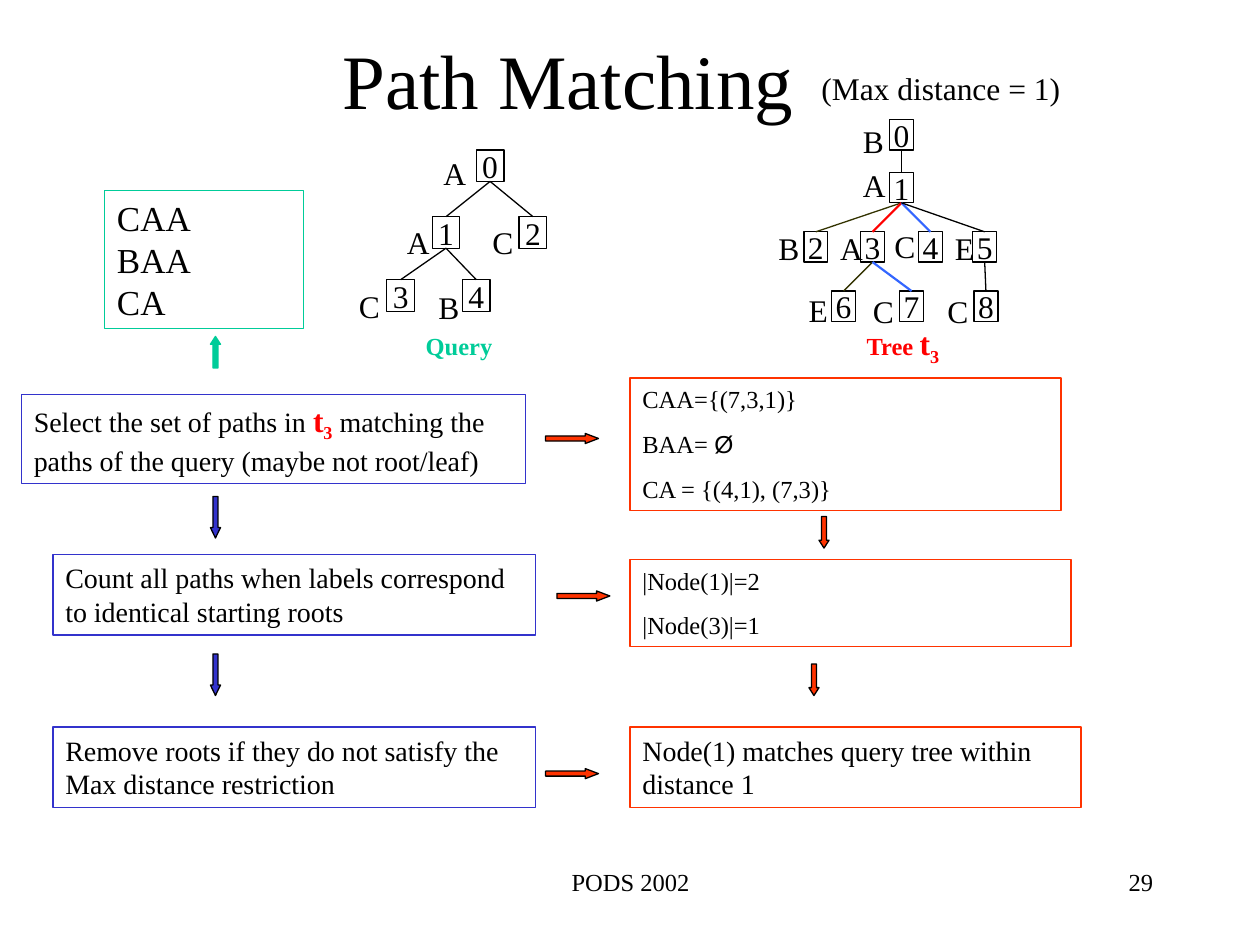
from lxml.etree import SubElement
from pptx import Presentation
from pptx.dml.color import RGBColor
from pptx.enum.shapes import MSO_CONNECTOR, MSO_SHAPE
from pptx.enum.text import MSO_ANCHOR, PP_ALIGN
from pptx.oxml.ns import qn
from pptx.util import Inches, Pt

FONT = "Times New Roman"
BLACK, WHITE, RED, BLUE = "000000", "FFFFFF", "FF0000", "3366FF"
GREEN, INDIGO, ORANGE, OLIVE = "00CC99", "3333CC", "FF3300", "333300"
ARROW = 0.08  # thickness of every block arrow

# Style of the tree name "t" with its subscript
TREE_NAME = [("t", {"size": 18, "color": RED, "bold": True}),
             ("3", {"size": 18, "color": RED, "bold": True, "sub": True})]

# Nodes: number -> (left, top, label, label left, label top)
QUERY_NODES = {
    0: (3.78, 1.19, "A", 3.42, 1.17),
    1: (3.43, 1.72, "A", 3.13, 1.72), 2: (4.12, 1.72, "C", 3.81, 1.72),
    3: (3.07, 2.22, "C", 2.75, 2.23), 4: (3.67, 2.22, "B", 3.38, 2.24),
}
TREE_NODES = {
    0: (7.06, 0.95, "B", 6.75, 0.92),
    1: (7.06, 1.37, "A", 6.75, 1.27),
    2: (6.38, 1.84, "B", 6.08, 1.77), 3: (6.83, 1.84, "A", 6.57, 1.77),
    4: (7.29, 1.84, "C", 7.0, 1.75), 5: (7.72, 1.84, "E", 7.48, 1.77),
    6: (6.6, 2.31, "E", 6.32, 2.26), 7: (7.14, 2.31, "C", 6.83, 2.27),
    8: (7.73, 2.31, "C", 7.42, 2.27),
}
# Edges: parent, child, colour
QUERY_EDGES = [(0, 1, BLACK), (0, 2, BLACK), (1, 3, BLACK), (1, 4, BLACK)]
TREE_EDGES = [(0, 1, BLACK), (1, 2, OLIVE), (1, 3, RED), (1, 4, BLUE),
              (1, 5, BLACK), (3, 6, OLIVE), (3, 7, BLUE), (5, 8, BLACK)]


def rgb(color):
    return RGBColor.from_string(color)


def style_run(r, size, color=BLACK, bold=False, font=FONT, sub=False):
    r.font.size, r.font.bold, r.font.name = Pt(size), bold, font
    r.font.color.rgb = rgb(color)
    if sub:
        r.font._element.set("baseline", "-25000")


def write(sp, paragraphs, size, color=BLACK, bold=False, before=0,
          align=PP_ALIGN.LEFT, anchor=MSO_ANCHOR.TOP, wrap=True):
    """Fill a shape; a paragraph is a string or a list of (text, style) runs."""
    tf = sp.text_frame
    tf.word_wrap, tf.vertical_anchor = wrap, anchor
    for i, runs in enumerate(paragraphs):
        p = tf.paragraphs[0] if i == 0 else tf.add_paragraph()
        p.alignment, p.space_before = align, Pt(before)
        for text, style in [(runs, {})] if isinstance(runs, str) else runs:
            r = p.add_run()
            r.text = text
            style_run(r, **{"size": size, "color": color, "bold": bold, **style})


def add_text(s, box, paragraphs, size, **style):
    write(s.shapes.add_textbox(*map(Inches, box)), paragraphs, size, **style)


def add_preset(s, kind, box, line, fill=None):
    sp = s.shapes.add_shape(kind, *map(Inches, box))
    sp.shadow.inherit = False
    sp.line.color.rgb, sp.line.width = rgb(line), Pt(0.75)
    if fill:
        sp.fill.solid()
        sp.fill.fore_color.rgb = rgb(fill)
    else:
        sp.fill.background()
    return sp


def add_panel(s, box, line, paragraphs, size, **style):
    write(add_preset(s, MSO_SHAPE.RECTANGLE, box, line), paragraphs, size, **style)


def add_arrow(s, kind, left, top, length, fill, line=BLACK):
    """Block arrow whose head takes a quarter of its length."""
    flat = kind == MSO_SHAPE.RIGHT_ARROW
    size = (length, ARROW) if flat else (ARROW, length)
    sp = add_preset(s, kind, (left, top, *size), line, fill)
    sp.adjustments[0], sp.adjustments[1] = 0.5, length / 4 / ARROW


def add_edge(s, start, end, color):
    ln = s.shapes.add_connector(MSO_CONNECTOR.STRAIGHT, *map(Inches, (*start, *end)))
    ln.line.color.rgb = rgb(color)
    ln.line.width = Pt(1.25 if color in (RED, BLUE) else 0.75)
    SubElement(ln._element.spPr, qn("a:effectLst"))


def add_tree(s, nodes, edges, width, height):
    """Draw numbered boxes, their labels, and edges from box bottom to box top."""
    for number, (left, top, label, label_left, label_top) in nodes.items():
        sp = add_preset(s, MSO_SHAPE.RECTANGLE, (left, top, width, height), BLACK)
        write(sp, [str(number)], 18, align=PP_ALIGN.CENTER,
              anchor=MSO_ANCHOR.MIDDLE, wrap=False)
        add_text(s, (label_left, label_top, 0.28, 0.4), [label], 18, before=11.2)
    for parent, child, color in edges:
        (x1, y1), (x2, y2) = nodes[parent][:2], nodes[child][:2]
        add_edge(s, (x1 + width / 2, y1 + height), (x2 + width / 2, y2), color)


def add_title(s):
    sp = s.shapes.title
    sp.left, sp.top, sp.width, sp.height = map(Inches, (0, 0, 9.17, 1.25))
    write(sp, ["Path Matching "], 44, align=PP_ALIGN.CENTER, anchor=MSO_ANCHOR.MIDDLE)
    add_text(s, (6.42, 0.5, 2.25, 0.4), ["(Max distance = 1)"], 18)


def add_trees(s):
    add_tree(s, QUERY_NODES, QUERY_EDGES, 0.22, 0.25)
    add_tree(s, TREE_NODES, TREE_EDGES, 0.19, 0.24)
    add_text(s, (3.28, 2.58, 0.97, 0.34), ["Query"], 14,
             color=GREEN, bold=True, before=8.8)
    add_text(s, (6.78, 2.52, 1.47, 0.44), [[("Tree ", {}), *TREE_NAME]], 14,
             color=RED, bold=True, before=11.2)


def add_steps(s):
    add_panel(s, (0.83, 1.51, 1.58, 1.1), GREEN, ["CAA", "BAA", "CA"], 20)
    select = [("Select the set of paths in ", {}), *TREE_NAME,
              (" matching the paths of the query (maybe not root/leaf)", {})]
    steps = [
        ((0.17, 3.13, 4, 0.71), select),
        ((0.42, 4.4, 3.83, 0.64),
         "Count all paths when labels correspond to identical starting roots"),
        ((0.42, 5.77, 3.83, 0.64),
         "Remove roots if they do not satisfy the Max distance restriction"),
    ]
    for box, text in steps:
        add_panel(s, box, INDIGO, [text], 16, before=10)


def add_results(s):
    empty_set = [("BAA= ", {}), ("Ø", {"font": "Arial"})]
    results = [
        (3, 3.42, 1.05, 14, ["CAA={(7,3,1)}", empty_set, "CA = {(4,1), (7,3)}"]),
        (4.44, 3.5, 0.69, 14, ["|Node(1)|=2", "|Node(3)|=1"]),
        (5.77, 3.58, 0.64, 16, ["Node(1) matches query tree within distance 1"]),
    ]
    for top, width, height, size, paragraphs in results:
        add_panel(s, (5, top, width, height), ORANGE, paragraphs, size, before=8.8)


def add_arrows(s):
    add_arrow(s, MSO_SHAPE.UP_ARROW, 1.67, 2.67, 0.25, GREEN, GREEN)
    for top in (3.94, 5.19):
        add_arrow(s, MSO_SHAPE.DOWN_ARROW, 1.67, top, 0.33, INDIGO)
    for left, top in ((6.5, 4.1), (6.42, 5.27)):
        add_arrow(s, MSO_SHAPE.DOWN_ARROW, left, top, 0.25, ORANGE)
    for left, top in ((4.33, 3.44), (4.42, 4.69), (4.33, 6.1)):
        add_arrow(s, MSO_SHAPE.RIGHT_ARROW, left, top, 0.42, ORANGE)


def add_footer(s):
    add_text(s, (3.42, 6.83, 3.17, 0.5), ["PODS 2002"], 14, align=PP_ALIGN.CENTER)
    add_text(s, (7.17, 6.83, 2.08, 0.5), ["29"], 14, align=PP_ALIGN.RIGHT)


def main():
    prs = Presentation()
    prs.slide_width, prs.slide_height = Inches(10), Inches(7.5)
    s = prs.slides.add_slide(prs.slide_layouts[5])
    for add_part in (add_title, add_trees, add_steps, add_results,
                     add_arrows, add_footer):
        add_part(s)
    prs.save("out.pptx")


if __name__ == "__main__":
    main()
